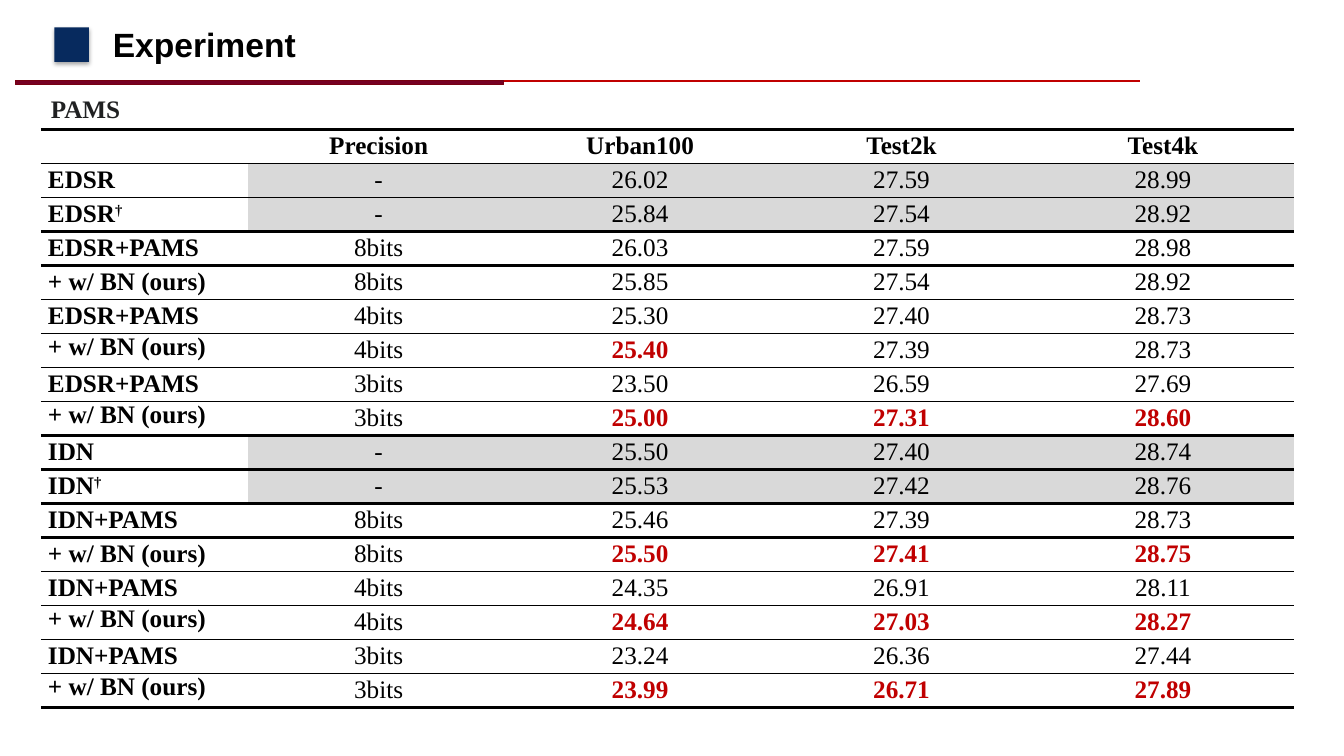
from dataclasses import dataclass

from lxml.etree import SubElement
from pptx import Presentation
from pptx.dml.color import RGBColor
from pptx.enum.shapes import MSO_CONNECTOR, MSO_SHAPE
from pptx.enum.text import MSO_ANCHOR, PP_ALIGN
from pptx.oxml.ns import qn
from pptx.slide import Slide
from pptx.table import _Cell
from pptx.text.text import _Paragraph
from pptx.util import Pt


@dataclass(frozen=True)
class Theme:
    black: str = "000000"
    label: str = "202122"
    red: str = "C00000"
    band: str = "760023"
    band_edge: str = "770010"
    navy: str = "072A5E"
    shade: str = "D9D9D9"
    heading_font: str = "Arial"
    table_font: str = "Times New Roman"
    heading_size: float = 24
    table_size: float = 18
    thin: float = 1
    thick: float = 2.25


@dataclass(frozen=True)
class Result:
    method: str
    precision: str
    scores: tuple[str, str, str]
    best: tuple[bool, bool, bool] = (False, False, False)
    dagger: bool = False
    shaded: bool = False
    rule_below: float = 0
    method_anchor: MSO_ANCHOR = MSO_ANCHOR.MIDDLE


THEME = Theme()
NO_STYLE = "{2D5ABB26-0587-4C30-8999-92F81FD0307C}"
HEADINGS = ("", "Precision", "Urban100", "Test2k", "Test4k")
NONE_BEST = (False, False, False)
ALL_BEST = (True, True, True)


def baseline(model: str, plain: tuple[str, str, str], retrained: tuple[str, str, str]) -> list[Result]:
    return [
        Result(model, "-", plain, shaded=True),
        Result(model, "-", retrained, dagger=True, shaded=True, rule_below=THEME.thick),
    ]


def comparison(model: str, bits: int, pams: tuple[str, str, str], ours: tuple[str, str, str],
               best: tuple[bool, bool, bool] = ALL_BEST) -> list[Result]:
    return [
        Result(f"{model}+PAMS", f"{bits}bits", pams),
        Result("+ w/ BN (ours)", f"{bits}bits", ours, best,
               rule_below=THEME.thick if bits == 3 else THEME.thin,
               method_anchor=MSO_ANCHOR.MIDDLE if bits == 8 else MSO_ANCHOR.TOP),
    ]


RESULTS = [
    *baseline("EDSR", ("26.02", "27.59", "28.99"), ("25.84", "27.54", "28.92")),
    *comparison("EDSR", 8, ("26.03", "27.59", "28.98"), ("25.85", "27.54", "28.92"), NONE_BEST),
    *comparison("EDSR", 4, ("25.30", "27.40", "28.73"), ("25.40", "27.39", "28.73"),
                (True, False, False)),
    *comparison("EDSR", 3, ("23.50", "26.59", "27.69"), ("25.00", "27.31", "28.60")),
    *baseline("IDN", ("25.50", "27.40", "28.74"), ("25.53", "27.42", "28.76")),
    *comparison("IDN", 8, ("25.46", "27.39", "28.73"), ("25.50", "27.41", "28.75")),
    *comparison("IDN", 4, ("24.35", "26.91", "28.11"), ("24.64", "27.03", "28.27")),
    *comparison("IDN", 3, ("23.24", "26.36", "27.44"), ("23.99", "26.71", "27.89")),
]


def rgb(colour: str) -> RGBColor:
    return RGBColor.from_string(colour)


def write(paragraph: _Paragraph, text: str, colour: str = THEME.black, bold: bool = True,
          font: str = THEME.table_font, size: float = THEME.table_size, raised: bool = False) -> None:
    run = paragraph.add_run()
    run.text = text
    run.font.name = font
    run.font.size = Pt(size)
    run.font.bold = bold
    run.font.color.rgb = rgb(colour)
    if raised:
        run._r.get_or_add_rPr().set("baseline", "30000")


def format_cell(cell: _Cell, rule_above: float, rule_below: float, shaded: bool = False,
                anchor: MSO_ANCHOR = MSO_ANCHOR.MIDDLE,
                alignment: PP_ALIGN = PP_ALIGN.CENTER) -> _Paragraph:
    cell.margin_left = cell.margin_right = Pt(5.1)
    cell.margin_top = cell.margin_bottom = Pt(0)
    cell.vertical_anchor = anchor
    properties = cell._tc.get_or_add_tcPr()
    for edge, width in (("a:lnT", rule_above), ("a:lnB", rule_below)):
        if width:
            rule = SubElement(properties, qn(edge), w=str(Pt(width)))
            SubElement(SubElement(rule, qn("a:solidFill")), qn("a:srgbClr"), val=THEME.black)
    if shaded:
        cell.fill.solid()
        cell.fill.fore_color.rgb = rgb(THEME.shade)
    else:
        cell.fill.background()
    paragraph = cell.text_frame.paragraphs[0]
    paragraph.alignment = alignment
    return paragraph


def add_header(slide: Slide) -> None:
    underline = slide.shapes.add_connector(MSO_CONNECTOR.STRAIGHT, Pt(10.8), Pt(57.8), Pt(814.3), Pt(57.8))
    underline.line.color.rgb = rgb(THEME.red)
    underline.line.width = Pt(1)
    SubElement(underline._element.spPr, qn("a:effectLst"))

    accent = slide.shapes.add_shape(MSO_SHAPE.RECTANGLE, Pt(10.8), Pt(57.6), Pt(349.2), Pt(2.9))
    accent.shadow.inherit = False
    accent.fill.solid()
    accent.fill.fore_color.rgb = rgb(THEME.band)
    accent.line.color.rgb = rgb(THEME.band_edge)
    accent.line.width = Pt(0.75)

    marker = slide.shapes.add_shape(MSO_SHAPE.RECTANGLE, Pt(38.9), Pt(19.6), Pt(24.6), Pt(24.6))
    marker.shadow.inherit = False
    marker.fill.solid()
    marker.fill.fore_color.rgb = rgb(THEME.navy)
    marker.line.fill.background()
    shadow = SubElement(marker._element.spPr.find(qn("a:effectLst")), qn("a:outerShdw"),
                        blurRad=str(Pt(3.1)), dist=str(Pt(1.8)), dir="5400000", rotWithShape="0")
    shade = SubElement(shadow, qn("a:srgbClr"), val=THEME.black)
    SubElement(shade, qn("a:alpha"), val="35000")

    heading = slide.shapes.title
    heading.left, heading.top, heading.width, heading.height = Pt(73.4), Pt(13.3), Pt(222.5), Pt(36)
    heading.text_frame.vertical_anchor = MSO_ANCHOR.TOP
    paragraph = heading.text_frame.paragraphs[0]
    paragraph.alignment = PP_ALIGN.LEFT
    write(paragraph, "Experiment", font=THEME.heading_font, size=THEME.heading_size)


def add_results(slide: Slide) -> None:
    row_height, method_width, score_width = 24.31, 147.9, 186.75
    rows = len(RESULTS) + 1
    results = slide.shapes.add_table(rows, len(HEADINGS), Pt(29.2), Pt(92.3),
                                     Pt(method_width + 4 * score_width), Pt(rows * row_height)).table
    results.first_row = results.horz_banding = False
    results._tbl.tblPr.find(qn("a:tableStyleId")).text = NO_STYLE
    for row in results.rows:
        row.height = Pt(row_height)
    for index, column in enumerate(results.columns):
        column.width = Pt(score_width if index else method_width)

    for index, heading in enumerate(HEADINGS):
        paragraph = format_cell(results.cell(0, index), THEME.thick, THEME.thin)
        if heading:
            write(paragraph, heading)

    rule_above = THEME.thin
    for row, result in enumerate(RESULTS, start=1):
        method = format_cell(results.cell(row, 0), rule_above, result.rule_below,
                             anchor=result.method_anchor, alignment=PP_ALIGN.JUSTIFY)
        write(method, result.method)
        if result.dagger:
            write(method, "†", raised=True)
        entries = zip((result.precision, *result.scores), (False, *result.best))
        for column, (value, best) in enumerate(entries, start=1):
            paragraph = format_cell(results.cell(row, column), rule_above, result.rule_below, result.shaded)
            write(paragraph, value, THEME.red if best else THEME.black, best)
        rule_above = result.rule_below


def add_caption(slide: Slide) -> None:
    caption = slide.shapes.add_textbox(Pt(29.2), Pt(62.9), Pt(480), Pt(29)).text_frame
    caption.word_wrap = True
    write(caption.paragraphs[0], "PAMS", THEME.label)


def main() -> None:
    deck = Presentation()
    deck.slide_width, deck.slide_height = Pt(960), Pt(540)
    slide = deck.slides.add_slide(deck.slide_layouts[5])
    add_header(slide)
    add_results(slide)
    add_caption(slide)
    deck.save("out.pptx")


if __name__ == "__main__":
    main()
